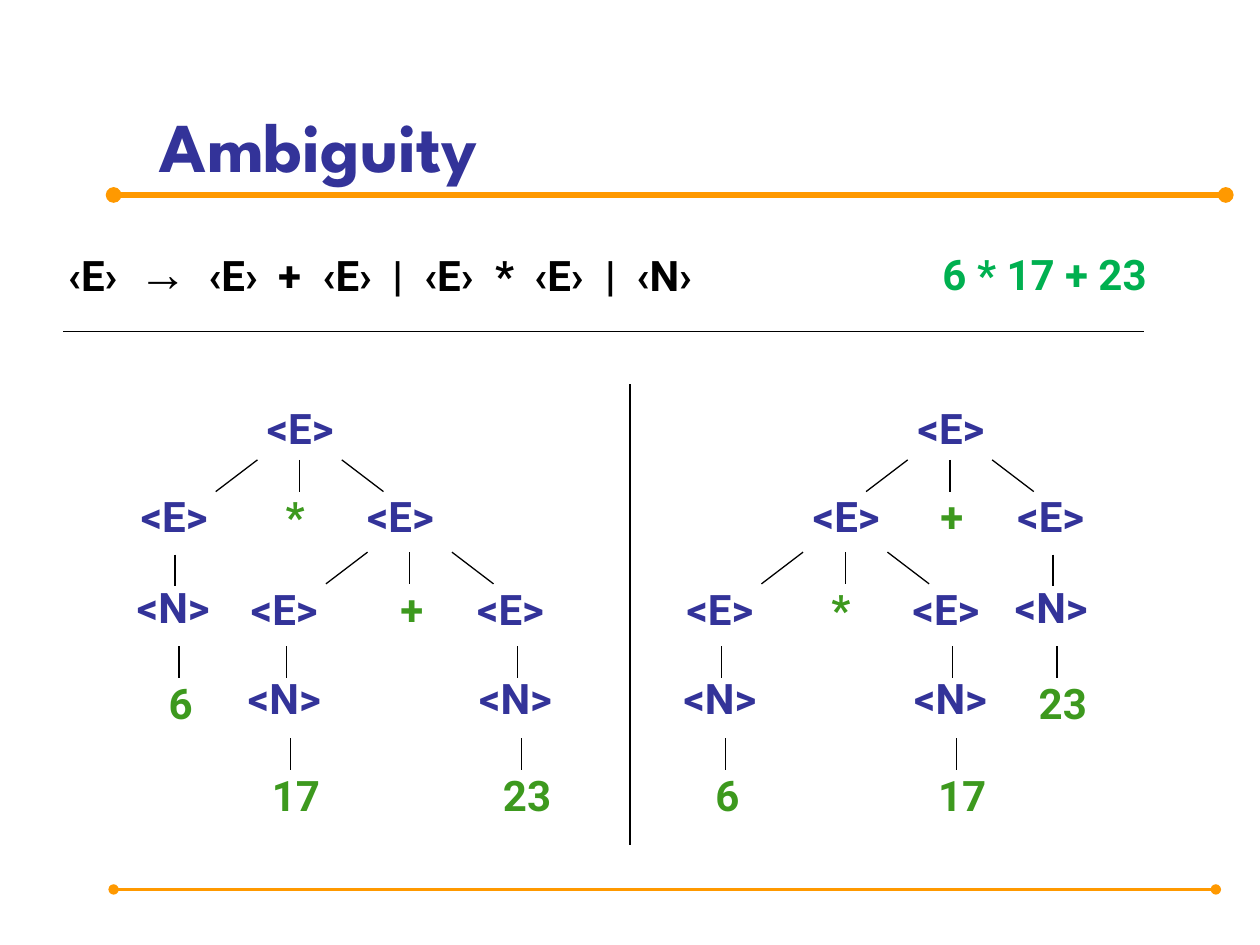
from dataclasses import dataclass

from lxml import etree
from pptx import Presentation
from pptx.dml.color import RGBColor
from pptx.enum.shapes import MSO_CONNECTOR
from pptx.enum.text import MSO_ANCHOR, MSO_AUTO_SIZE, PP_ALIGN
from pptx.oxml.ns import qn
from pptx.util import Cm, Pt

STRAIGHT = MSO_CONNECTOR.STRAIGHT
BOTTOM = MSO_ANCHOR.BOTTOM
LEFT = PP_ALIGN.LEFT
FIXED = MSO_AUTO_SIZE.NONE


@dataclass(frozen=True)
class Theme:
    navy: str = "333399"
    leaf: str = "3D991E"
    green: str = "00B050"
    black: str = "000000"
    orange: str = "FF9900"
    head: str = "League Spartan"
    body: str = "Roboto"
    sign: str = "Arial"
    title: int = 40
    arrow: int = 28
    text: int = 24
    thin: float = 0.75


# Box widths of the tree labels, in cm
WIDE = {"<E>": 1.98, "<N>": 2.18, "*": 1, "+": 1, "6": 1, "17": 1.56, "23": 1.56}
# Where each grammar token starts, in cm from the first one
TABS = [1.42, 2.83, 4.24, 5.13, 6.54, 7.18, 8.61, 9.4, 10.83, 11.46]
SHIFT = {"*": -0.03, "+": 0.06}
DROP = 0.64


class Board:
    def __init__(self, slide, theme):
        self.slide, self.theme = slide, theme
        self.host = slide.shapes

    def font(self, run, color, size=None, face=None):
        font = run.font
        font.name = face or self.theme.body
        font.size = Pt(size or self.theme.text)
        font.bold = True
        font.color.rgb = RGBColor.from_string(color)

    def title(self, text):
        box = self.slide.shapes.title
        box.left, box.top, box.width, box.height = Cm(2.97), Cm(0.71), Cm(21.87), Cm(3.18)
        frame = box.text_frame
        frame.text = text
        frame.auto_size = FIXED
        frame.vertical_anchor = BOTTOM
        para = frame.paragraphs[0]
        para.alignment = LEFT
        self.font(para.runs[0], self.theme.navy, self.theme.title, self.theme.head)

    def line(self, x1, y1, x2, y2, color=None, width=None, dots=False):
        line = self.host.add_connector(STRAIGHT, Cm(x1), Cm(y1), Cm(x2), Cm(y2))
        line.line.color.rgb = RGBColor.from_string(color or self.theme.black)
        line.line.width = Pt(width or self.theme.thin)
        if dots:
            for end in ("a:headEnd", "a:tailEnd"):
                etree.SubElement(line.line._get_or_add_ln(), qn(end), type="oval")
        etree.SubElement(line._element.spPr, qn("a:effectLst"))

    def text(self, text, x, y, width, color, height=1.27):
        box = self.host.add_textbox(Cm(x), Cm(y), Cm(width), Cm(height))
        frame = box.text_frame
        frame.word_wrap = False
        frame.text = text
        para = frame.paragraphs[0]
        for run in para.runs:
            self.font(run, color)
        return para

    def rule(self, x, y):
        """Write the grammar rule with its tokens on tab stops."""
        para = self.text("‹E›\t", x, y, 14.38, self.theme.black, 1.45)
        props = para._p.get_or_add_pPr()
        stops = etree.SubElement(props, qn("a:tabLst"))
        for stop in TABS:
            etree.SubElement(stops, qn("a:tab"), pos=str(Cm(stop)), algn="l")
        arrow = para.add_run()
        arrow.text = "→"
        self.font(arrow, self.theme.black, self.theme.arrow, self.theme.sign)
        rest = para.add_run()
        rest.text = "\t" + "\t".join("‹E› + ‹E› | ‹E› * ‹E› | ‹N›".split())
        self.font(rest, self.theme.black)

    def node(self, text, mid, y):
        color = self.theme.navy if text.startswith("<") else self.theme.leaf
        self.text(text, mid - WIDE[text] / 2, y, WIDE[text], color)

    def fork(self, mid, y, sign, reach=2.46):
        """Draw three branches, with the operator between two operands."""
        for near, far in ((-0.85, -1.69), (0, 0), (0.85, 1.69)):
            self.line(mid + near, y, mid + far, y + DROP)
        self.node("<E>", mid - reach, y + 0.5)
        self.node(sign, mid + SHIFT[sign], y + 0.5)
        self.node("<E>", mid + 2.1, y + 0.5)

    def chain(self, mid, y, value):
        """Draw the steps from an expression down to its number."""
        self.line(mid, y, mid, y + DROP)
        self.node("<N>", mid + 0.07, y + 0.41)
        self.line(mid + 0.08, y + 1.85, mid + 0.08, y + 1.85 + DROP)
        self.node(value, mid + 0.12 * len(value), y + 2.36)

    def tree(self, root, forks, chains):
        self.host = self.slide.shapes.add_group_shape().shapes
        self.node("<E>", root, 7.98)
        for fork in forks:
            self.fork(*fork)
        for chain in chains:
            self.chain(*chain)
        self.host = self.slide.shapes


def main():
    deck = Presentation()
    deck.slide_width, deck.slide_height = Cm(25.4), Cm(19.05)
    theme = Theme()
    board = Board(deck.slides.add_slide(deck.slide_layouts[5]), theme)

    board.line(2.29, 3.93, 24.71, 3.93, theme.orange, 3, dots=True)
    board.line(2.29, 17.93, 24.51, 17.93, theme.orange, 1.5, dots=True)
    board.title("Ambiguity")
    board.rule(1.12, 4.77)
    board.text("6 * 17 + 23", 18.75, 4.88, 4.75, theme.green)
    board.line(1.27, 6.68, 23.06, 6.68)
    board.line(12.7, 7.75, 12.7, 17.04)

    high, low = 9.27, 11.13
    upper, lower = 11.18, 13.03
    board.tree(
        6.12,
        [(6.04, high, "*"), (8.26, low, "+")],
        [(3.53, upper, "6"), (5.77, lower, "17"), (10.43, lower, "23")],
    )
    board.tree(
        19.24,
        [(19.15, high, "+", 2.02), (17.04, low, "*")],
        [(14.55, lower, "6"), (19.2, lower, "17"), (21.23, upper, "23")],
    )
    deck.save("out.pptx")


if __name__ == "__main__":
    main()
